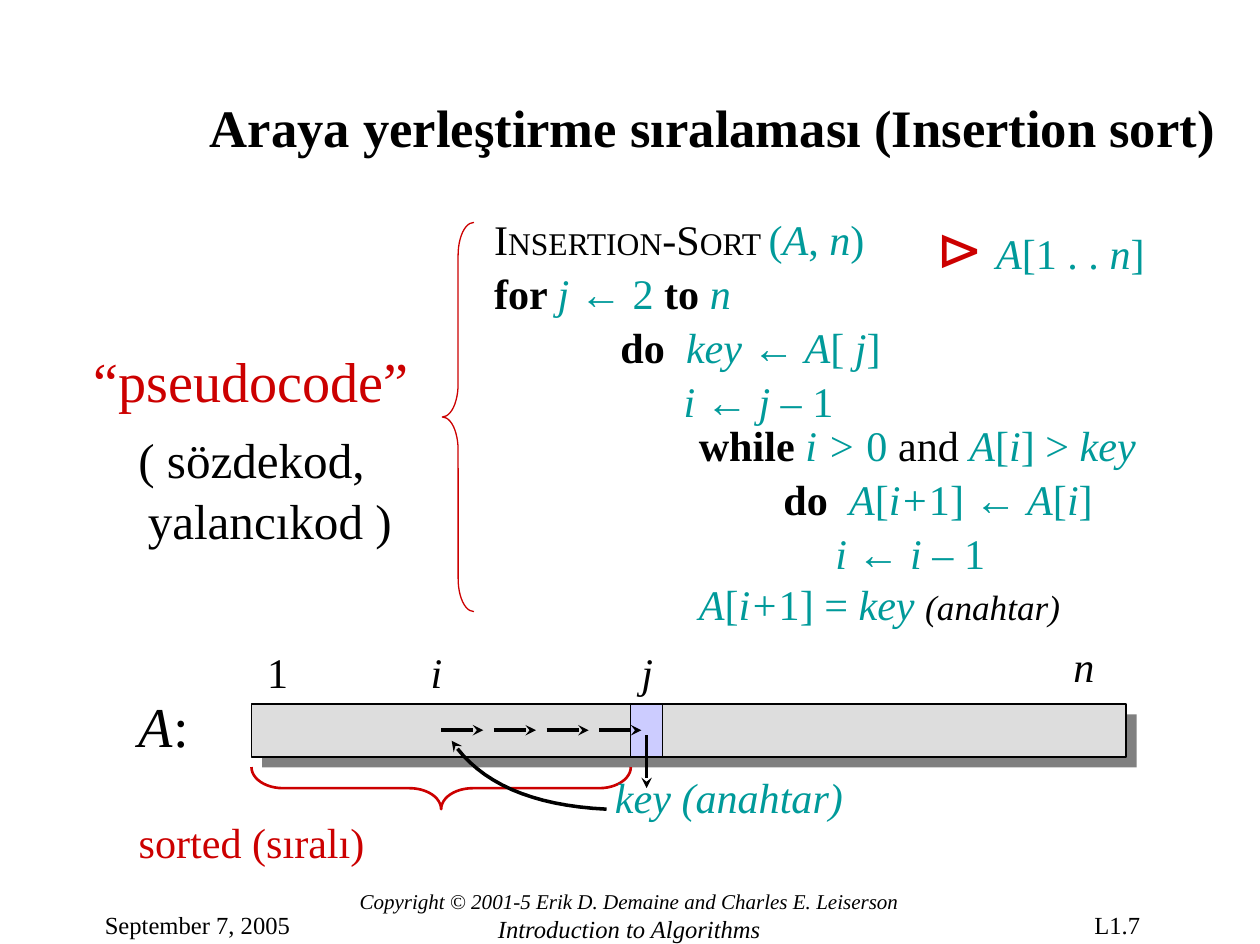
from lxml import etree
from pptx import Presentation
from pptx import util as u
from pptx.dml.color import RGBColor
from pptx.enum import shapes, text
from pptx.oxml import ns

WIDTH, HEIGHT = 9.97, 7.47
BLACK, RED, TEAL = "000000", "CC0000", "009A9A"
SERIF, SYMBOL = "Times New Roman", "Noto Sans CJK JP"
STYLES = {
    "plain": (BLACK, False, False),
    "word": (BLACK, True, False),
    "note": (BLACK, False, True),
    "var": (TEAL, False, True),
    "num": (TEAL, False, False),
    "red": (RED, False, False),
}
HEADER = [
    (0, 0, [("I", "plain"), ("NSERTION", "plain", 18), ("-S", "plain"), ("ORT ", "plain", 18),
            ("(", "num"), ("A", "var"), (", ", "num"), ("n", "var"), (")", "num")]),
    (0, 2, [("for ", "word"), ("j ", "var"), ("← 2 ", "num"), ("to ", "word"), ("n", "var")]),
    (1, 2, [("do  ", "word"), ("key ← A", "var"), ("[ ", "num"), ("j", "var"), ("]", "num")]),
    (1.5, 2, [("i ← j – ", "var"), ("1", "num")]),
]
LOOP = [
    (0, 0, [("while ", "word"), ("i > ", "var"), ("0 ", "num"), ("and ", "plain"), ("A", "var"),
            ("[", "num"), ("i", "var"), ("] > ", "num"), ("key", "var")]),
    (0.67, 2, [("do  ", "word"), ("A", "var"), ("[", "num"), ("i+", "var"), ("1] ← ", "num"),
               ("A", "var"), ("[", "num"), ("i", "var"), ("]", "num")]),
    (1.08, 2, [("i ← i – ", "var"), ("1", "num")]),
    (0, 0, [("A", "var"), ("[", "num"), ("i+", "var"), ("1] = ", "num"), ("key ", "var"),
            ("(anahtar)", "note", 20)]),
]
COMMENT = [(0, 0, [("⊳ ", "red", 32, SYMBOL), ("A", "var"), ("[1 . . ", "num"),
                   ("n", "var"), ("]", "num")])]


def color(value):
    """Turn a hex string into a colour."""
    return RGBColor.from_string(value)


def format_run(run, style, size=24, face=SERIF):
    """Give a run its named style, size and typeface."""
    ink, bold, italic = STYLES[style]
    run.font.name, run.font.size = face, u.Pt(size)
    run.font.bold, run.font.italic = bold, italic
    run.font.color.rgb = color(ink)
    if face == SYMBOL:
        etree.SubElement(run.font._element, ns.qn("a:ea")).set("typeface", face)


def reset_frame(frame, wrap):
    """Clear the insets of a text frame and anchor it at the top."""
    frame.margin_left = frame.margin_right = frame.margin_top = frame.margin_bottom = 0
    frame.vertical_anchor = text.MSO_ANCHOR.TOP
    frame.auto_size = text.MSO_AUTO_SIZE.NONE
    frame.word_wrap = wrap


def write_lines(slide, box, lines, align=text.PP_ALIGN.LEFT):
    """Write lines of (indent, space before, runs) in a box."""
    frame = slide.shapes.add_textbox(*map(u.Inches, box)).text_frame
    reset_frame(frame, True)
    for number, (indent, gap, runs) in enumerate(lines):
        line = frame.add_paragraph() if number else frame.paragraphs[0]
        line.alignment = align
        if indent:
            line._p.get_or_add_pPr().set("marL", str(u.Inches(indent)))
        if gap:
            line.space_before = u.Pt(gap)
        for words, *look in runs:
            run = line.add_run()
            run.text = words
            format_run(run, *look)


def outline(shape, ink, width, arrow=False):
    """Stroke a shape or connector, with an arrowhead if asked."""
    shape.line.color.rgb = color(ink)
    shape.line.width = u.Pt(width)
    if arrow:
        etree.SubElement(shape.line._get_or_add_ln(), ns.qn("a:tailEnd")).set("type", "stealth")


def add_bar(slide, box, fill, lined=True):
    """Draw one filled rectangle of the array."""
    bar = slide.shapes.add_shape(shapes.MSO_SHAPE.RECTANGLE, *map(u.Inches, box))
    bar.shadow.inherit = False
    bar.fill.solid()
    bar.fill.fore_color.rgb = color(fill)
    if lined:
        outline(bar, BLACK, 0.75)
    else:
        bar.line.fill.background()


def add_brace(slide, box, bend, width, turn=0):
    """Draw a red brace with the given curve share."""
    brace = slide.shapes.add_shape(shapes.MSO_SHAPE.LEFT_BRACE, *map(u.Inches, box))
    brace.shadow.inherit = False
    brace.fill.background()
    brace.adjustments[0] = bend
    brace.rotation = turn
    outline(brace, RED, width)


def add_arrow(slide, start, end):
    """Draw a straight black arrow."""
    arrow = slide.shapes.add_connector(shapes.MSO_CONNECTOR.STRAIGHT, *map(u.Inches, start + end))
    etree.SubElement(arrow._element.spPr, ns.qn("a:effectLst"))
    outline(arrow, BLACK, 2)
    etree.SubElement(arrow.line._get_or_add_ln(), ns.qn("a:tailEnd")).set("type", "stealth")


def add_curve(slide, start, bend, end, steps=16):
    """Draw a curved black arrow from start to end."""
    points = []
    for step in range(steps + 1):
        t = step / steps
        points.append(tuple(u.Inches((1 - t) ** 2 * a + 2 * t * (1 - t) * b + t * t * c)
                            for a, b, c in zip(start, bend, end)))
    builder = slide.shapes.build_freeform(*points[0])
    builder.add_line_segments(points[1:], close=False)
    curve = builder.convert_to_shape()
    curve.shadow.inherit = False
    curve.fill.background()
    outline(curve, BLACK, 2, arrow=True)


def build_title(slide, box):
    """Place and format the slide title."""
    title = slide.shapes.title
    title.left, title.top, title.width, title.height = map(u.Inches, box)
    reset_frame(title.text_frame, True)
    title.text_frame.text = "Araya yerleştirme sıralaması (Insertion sort)"
    heading = title.text_frame.paragraphs[0]
    heading.alignment = text.PP_ALIGN.LEFT
    format_run(heading.runs[0], "word", 30)


def build_pseudocode(slide, box):
    """Place the algorithm, its brace and its caption."""
    left, top, width, height = box
    write_lines(slide, (left + 3.67, top, 3.75, 1.64), HEADER)
    write_lines(slide, (left + 7.17, top, 2.24, 0.55), COMMENT)
    write_lines(slide, (left + 5.29, top + 1.63, 4.2, 1.61), LOOP)
    add_brace(slide, (left + 3.26, top + 0.07, 0.25, height), 1.04, 0.75)
    write_lines(slide, (left, top + 1.05, 3.5, 1.5), [
        (0, 0, [("“pseudocode”", "red", 32)]),
        (0, 9, [("( sözdekod,", "plain", 28)]),
        (0.29, 1, [("yalancıkod )", "plain", 28)]),
    ], text.PP_ALIGN.CENTER)


def build_array(slide, box):
    """Place the array on a grid of 83 columns and 5 rows."""
    left, top, width, height = box
    unit = width / 83

    def at(column, row):
        return left + column * unit, top + row * unit

    add_bar(slide, (*at(1, 1), width, height), "808080", lined=False)
    add_bar(slide, box, "DDDDDD")
    add_bar(slide, (*at(36, 0), 3 * unit, height), "CCCCFF")
    for shift in range(4):
        start = 18 + 5 * shift
        add_arrow(slide, at(start, 2.5), at(start + 4, 2.5))
    add_arrow(slide, at(37.5, 3), at(37.5, 8))
    add_brace(slide, (*at(16, -10), 4 * unit, 36 * unit), 0.75, 1.5, 270)
    add_curve(slide, at(33.7, 10), at(23, 9.5), at(19, 3.5))
    labels = [
        (1.5, -5.5, [("1", "plain")]),
        (17, -5.5, [("i", "note")]),
        (37, -5.5, [("j", "note")]),
        (78, -6, [("n", "note")]),
        (-10.7, -1.2, [("A", "note", 32), (":", "plain", 32)]),
        (34.5, 6.4, [("key (anahtar)", "var")]),
        (-10.7, 10.7, [("sorted (sıralı)", "red")]),
    ]
    for column, row, runs in labels:
        label_width = 2.4 if len(runs[0][0]) > 1 else 0.6
        write_lines(slide, (*at(column, row), label_width, 0.41), [(0, 0, runs)])


def build_footer(slide, box):
    """Place the date, the copyright lines and the page number."""
    left, top, width, height = box
    write_lines(slide, (left, top + 0.17, 2, 0.25), [(0, 0, [("September 7, 2005", "plain", 14)])])
    write_lines(slide, (left + 1.75, top, 4.8, height), [
        (0, 0, [("Copyright © 2001-5 Erik D. Demaine and Charles E. Leiserson", "note", 12)]),
        (0, 0, [("Introduction to Algorithms", "note", 14)]),
    ], text.PP_ALIGN.CENTER)
    write_lines(slide, (left + width - 0.5, top + 0.17, 0.6, 0.25), [(0, 0, [("L1.7", "plain", 14)])])


def main():
    """Build the slide and save it."""
    deck = Presentation()
    deck.slide_width, deck.slide_height = u.Inches(WIDTH), u.Inches(HEIGHT)
    slide = deck.slides.add_slide(deck.slide_layouts[5])
    build_title(slide, (1.66, 0.75, 8.2, 0.51))
    build_pseudocode(slide, (0.24, 1.69, 9.49, 3.08))
    build_array(slide, (1.99, 5.57, 6.92, 0.42))
    build_footer(slide, (0.83, 7.03, 8.33, 0.41))
    deck.save("out.pptx")


if __name__ == "__main__":
    main()
